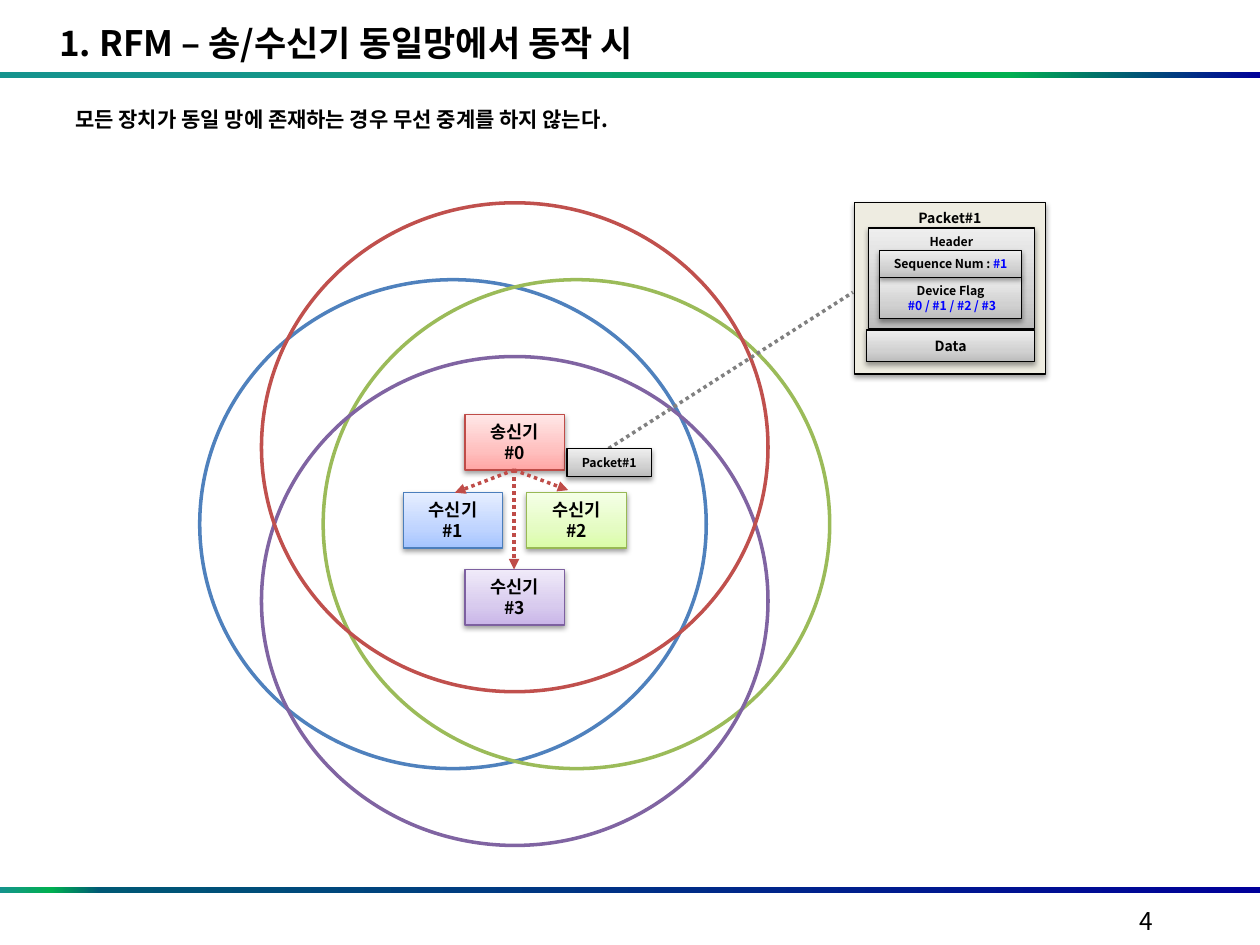
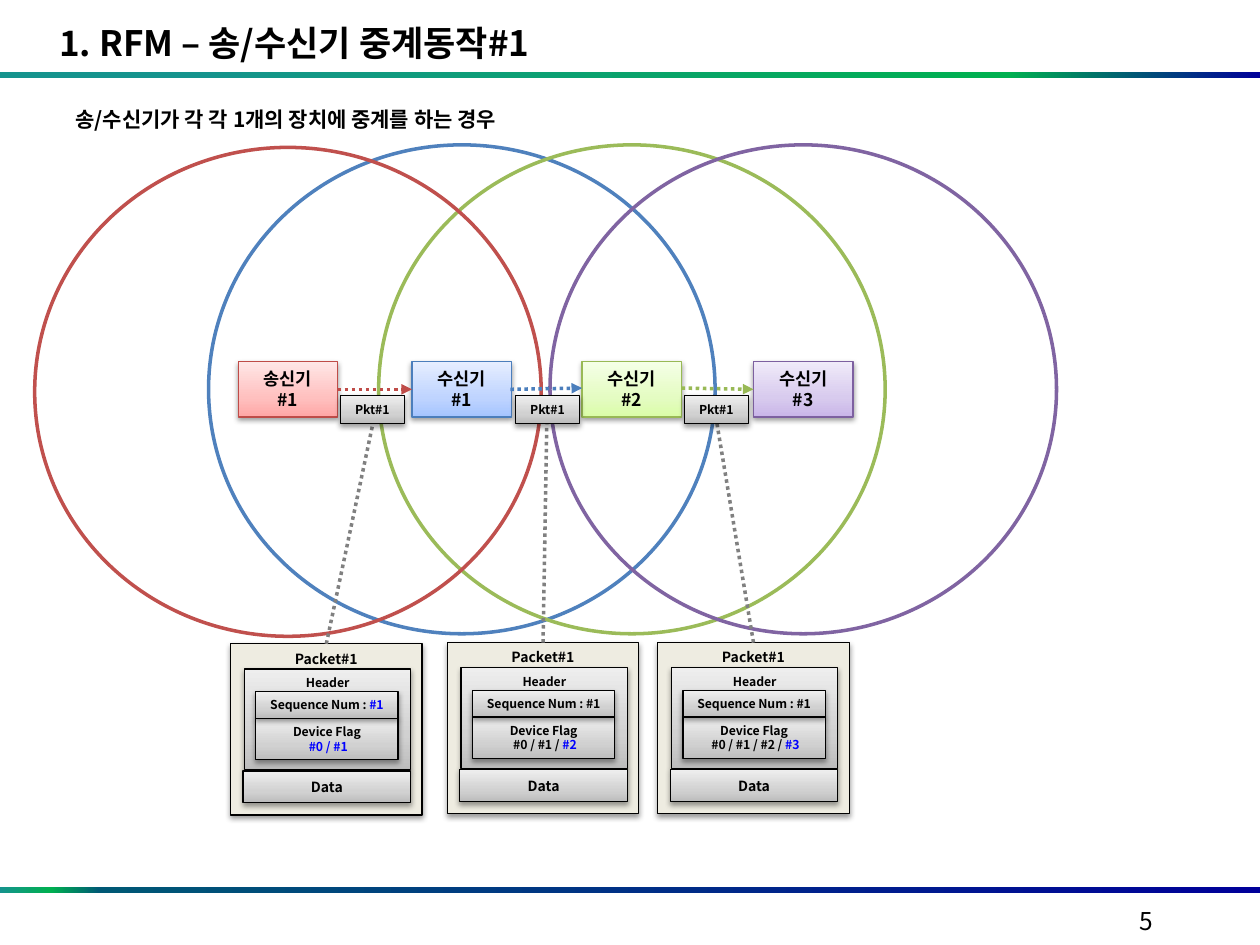
from pptx import Presentation
from pptx.dml.color import RGBColor
from pptx.enum.dml import MSO_LINE
from pptx.enum.shapes import MSO_CONNECTOR, MSO_SHAPE
from pptx.enum.text import MSO_ANCHOR, PP_ALIGN
from pptx.oxml import parse_xml
from pptx.oxml.ns import nsdecls, qn
from pptx.util import Inches, Pt
from lxml.etree import SubElement

FONT = "Noto Sans CJK KR"
LINE_HEIGHT = 1.2

BLACK = RGBColor(0x00, 0x00, 0x00)
BLUE = RGBColor(0x00, 0x00, 0xFF)
GRAY = RGBColor(0x80, 0x80, 0x80)
CREAM = RGBColor(0xEE, 0xEC, 0xE1)

TOP_BAND = [(0, "15938D"), (15, "15938D"), (80, "00B050"), (100, "000099")]
BOTTOM_BAND = [(0, "15938D"), (4, "00B050"), (8, "005875"), (100, "000099")]
SILVER = [(0, "BDBDBD"), (35, "D1D1D1"), (100, "EEEEEE")]

THEMES = {
    "red": ([(0, "FFA6A5"), (35, "FFC0BF"), (100, "FFE7E7")],
            RGBColor(0xBF, 0x4C, 0x48), RGBColor(0xC0, 0x50, 0x4D)),
    "blue": ([(0, "A4C4FF"), (35, "BFD4FF"), (100, "E6EEFF")],
             RGBColor(0x4B, 0x7E, 0xBC), RGBColor(0x4F, 0x81, 0xBD)),
    "green": ([(0, "DAFDA7"), (35, "E4FCC2"), (100, "F5FFE7")],
              RGBColor(0x98, 0xB9, 0x55), RGBColor(0x9B, 0xBB, 0x59)),
    "purple": ([(0, "C9B5E8"), (35, "D8CBEE"), (100, "F0EAF9")],
               RGBColor(0x7D, 0x60, 0xA0), RGBColor(0x80, 0x64, 0xA2)),
}

NODE_W, NODE_H = 0.79, 0.44
RING_W, RING_H = 4.02, 3.88
TAG_H = 0.22
PACKET_W, PACKET_H = 1.52, 1.36

SLIDES = [
    {
        "title": "1. RFM – 송/수신기 동일망에서 동작 시",
        "subtitle": "모든 장치가 동일 망에 존재하는 경우 무선 중계를 하지 않는다.",
        "page": "4",
        "nodes": [
            ("blue", "수신기", "#1", 3.2, 3.91, 2.22),
            ("green", "수신기", "#2", 4.18, 3.91, 2.22),
            ("purple", "수신기", "#3", 3.69, 4.52, 2.83),
            ("red", "송신기", "#0", 3.69, 3.29, 1.61),
        ],
        "arrows": [
            ("red", (4.08, 3.73), (3.61, 3.91)),
            ("red", (4.08, 3.73), (4.51, 3.89)),
            ("red", (4.08, 3.73), (4.08, 4.52)),
        ],
        "packets": [
            (6.78, 1.61, ("#1", BLUE), [(" #0 / #1 / #2 / #3", BLUE)]),
        ],
        "links": [((4.83, 3.56), (6.77, 2.32))],
        "tags": [("Packet#1", 4.5, 3.56, 0.67)],
    },
    {
        "title": "1. RFM – 송/수신기 중계동작#1",
        "subtitle": "송/수신기가 각 각 1개의 장치에 중계를 하는 경우",
        "page": "5",
        "nodes": [
            ("blue", "수신기", "#1", 3.27, 2.87, 1.15),
            ("green", "수신기", "#2", 4.62, 2.87, 1.15),
            ("purple", "수신기", "#3", 5.98, 2.87, 1.15),
            ("red", "송신기", "#1", 1.89, 2.87, 1.17),
        ],
        "arrows": [
            ("red", (2.68, 3.09), (3.27, 3.09)),
            ("blue", (4.05, 3.09), (4.62, 3.08)),
            ("green", (5.41, 3.08), (5.98, 3.09)),
        ],
        "packets": [
            (1.83, 5.11, ("#1", BLUE), [(" #0 / #1", BLUE)]),
            (3.55, 5.1, ("#1", BLACK), [(" #0 / #1 / ", BLACK), ("#2", BLUE)]),
            (5.22, 5.1, ("#1", BLACK), [(" #0 / #1 / #2 / ", BLACK), ("#3", BLUE)]),
        ],
        "links": [
            ((2.59, 5.11), (2.96, 3.36)),
            ((4.31, 5.1), (4.34, 3.36)),
            ((5.98, 5.1), (5.69, 3.36)),
        ],
        "tags": [("Pkt#1", x, 3.14, 0.51) for x in (2.7, 4.09, 5.43)],
    },
]


def write(tf, lines, size, align=PP_ALIGN.CENTER, bold=True):
    for i, line in enumerate(lines):
        p = tf.paragraphs[0] if i == 0 else tf.add_paragraph()
        p.alignment = align
        p.line_spacing = Pt(size * LINE_HEIGHT)
        for text, color in line:
            r = p.add_run()
            r.text = text
            r.font.size = Pt(size)
            r.font.bold = bold
            r.font.name = FONT
            r.font.color.rgb = color
            SubElement(r.font._element, qn("a:ea"), typeface=FONT)


def add_text(slide, box, text, size, align=PP_ALIGN.LEFT, bold=True):
    tf = slide.shapes.add_textbox(*map(Inches, box)).text_frame
    tf.word_wrap = True
    write(tf, [[(text, BLACK)]], size, align, bold)
    return tf


def set_gradient(sp, stops, degrees):
    sp.fill.gradient()
    marks = "".join(f'<a:gs pos="{pos * 1000}"><a:srgbClr val="{color}"/></a:gs>'
                    for pos, color in stops)
    grad = parse_xml(f'<a:gradFill {nsdecls("a")} rotWithShape="1"><a:gsLst>{marks}</a:gsLst>'
                     f'<a:lin ang="{degrees * 60000}" scaled="0"/></a:gradFill>')
    spPr = sp._element.spPr
    spPr.replace(spPr.find(qn("a:gradFill")), grad)


def add_band(slide, top, stops):
    sp = slide.shapes.add_shape(MSO_SHAPE.RECTANGLE, *map(Inches, (0, top, 10, 0.05)))
    sp.shadow.inherit = False
    set_gradient(sp, stops, 0)
    sp.line.fill.background()


def add_box(slide, box, fill, border, lines, size, anchor=MSO_ANCHOR.MIDDLE):
    sp = slide.shapes.add_shape(MSO_SHAPE.RECTANGLE, *map(Inches, box))
    if isinstance(fill, RGBColor):
        sp.fill.solid()
        sp.fill.fore_color.rgb = fill
    else:
        set_gradient(sp, fill, 270)
    sp.line.color.rgb = border
    sp.line.width = Pt(0.75)
    sp.shadow.inherit = False
    effects = sp._element.spPr.find(qn("a:effectLst"))
    effects.append(parse_xml(
        f'<a:outerShdw {nsdecls("a")} blurRad="{Pt(3.1)}" dist="{Pt(1.6)}" dir="5400000" '
        'rotWithShape="0"><a:srgbClr val="000000"><a:alpha val="38000"/></a:srgbClr></a:outerShdw>'))
    tf = sp.text_frame
    tf.word_wrap = True
    tf.margin_left = tf.margin_right = 0
    tf.vertical_anchor = anchor
    write(tf, lines, size)


def add_node(slide, theme, role, number, x, y, ring_top):
    fill, border, ring_color = THEMES[theme]
    add_box(slide, (x, y, NODE_W, NODE_H), fill, border,
            [[(role, BLACK)], [(number, BLACK)]], 10)
    ring_left = x + (NODE_W - RING_W) / 2
    ring = slide.shapes.add_shape(MSO_SHAPE.OVAL,
                                  *map(Inches, (ring_left, ring_top, RING_W, RING_H)))
    ring.shadow.inherit = False
    ring.fill.background()
    ring.line.color.rgb = ring_color
    ring.line.width = Pt(2)


def add_dotted(slide, start, end, color, arrow=False):
    cx = slide.shapes.add_connector(MSO_CONNECTOR.STRAIGHT, *map(Inches, start + end))
    cx.line.color.rgb = color
    cx.line.width = Pt(2)
    cx.line.dash_style = MSO_LINE.ROUND_DOT
    spPr = cx._element.spPr
    if arrow:
        SubElement(spPr.find(qn("a:ln")), qn("a:tailEnd"), type="triangle")
    SubElement(spPr, qn("a:effectLst"))


def add_packet(slide, x, y, sequence, flags):
    top, middle = MSO_ANCHOR.TOP, MSO_ANCHOR.MIDDLE
    parts = [
        (0, 0, PACKET_W, PACKET_H, CREAM, [[("Packet#1", BLACK)]], 8, top),
        (0.11, 0.2, 1.32, 0.8, SILVER, [[("Header", BLACK)]], 7, top),
        (0.1, 1.01, 1.33, 0.25, SILVER, [[("Data", BLACK)]], 8, middle),
        (0.2, 0.59, 1.13, 0.33, SILVER, [[("Device Flag", BLACK)], flags], 7, middle),
        (0.2, 0.38, 1.13, 0.21, SILVER, [[("Sequence Num : ", BLACK), sequence]], 7, middle),
    ]
    for dx, dy, w, h, fill, lines, size, anchor in parts:
        add_box(slide, (x + dx, y + dy, w, h), fill, BLACK, lines, size, anchor)


def add_frame(slide, content):
    add_band(slide, 7.04, BOTTOM_BAND)
    add_band(slide, 0.57, TOP_BAND)
    tf = add_text(slide, (0.47, 0.17, 5.03, 0.34), content["title"], 20)
    tf.word_wrap = False
    tf.margin_left = tf.margin_top = tf.margin_right = tf.margin_bottom = 0
    add_text(slide, (7.17, 7.14, 2.08, 0.5), content["page"], 14, PP_ALIGN.RIGHT, False)


def build_slide(prs, content):
    slide = prs.slides.add_slide(prs.slide_layouts[6])
    add_frame(slide, content)
    for node in content["nodes"]:
        add_node(slide, *node)
    for theme, start, end in content["arrows"]:
        add_dotted(slide, start, end, THEMES[theme][1], arrow=True)
    add_text(slide, (0.5, 0.8, 8.84, 0.3), content["subtitle"], 12)
    for packet in content["packets"]:
        add_packet(slide, *packet)
    for start, end in content["links"]:
        add_dotted(slide, start, end, GRAY)
    for text, x, y, w in content["tags"]:
        add_box(slide, (x, y, w, TAG_H), SILVER, BLACK, [[(text, BLACK)]], 7)


def main():
    prs = Presentation()
    prs.slide_width, prs.slide_height = Inches(10), Inches(7.5)
    for content in SLIDES:
        build_slide(prs, content)
    prs.save("out.pptx")


if __name__ == "__main__":
    main()
